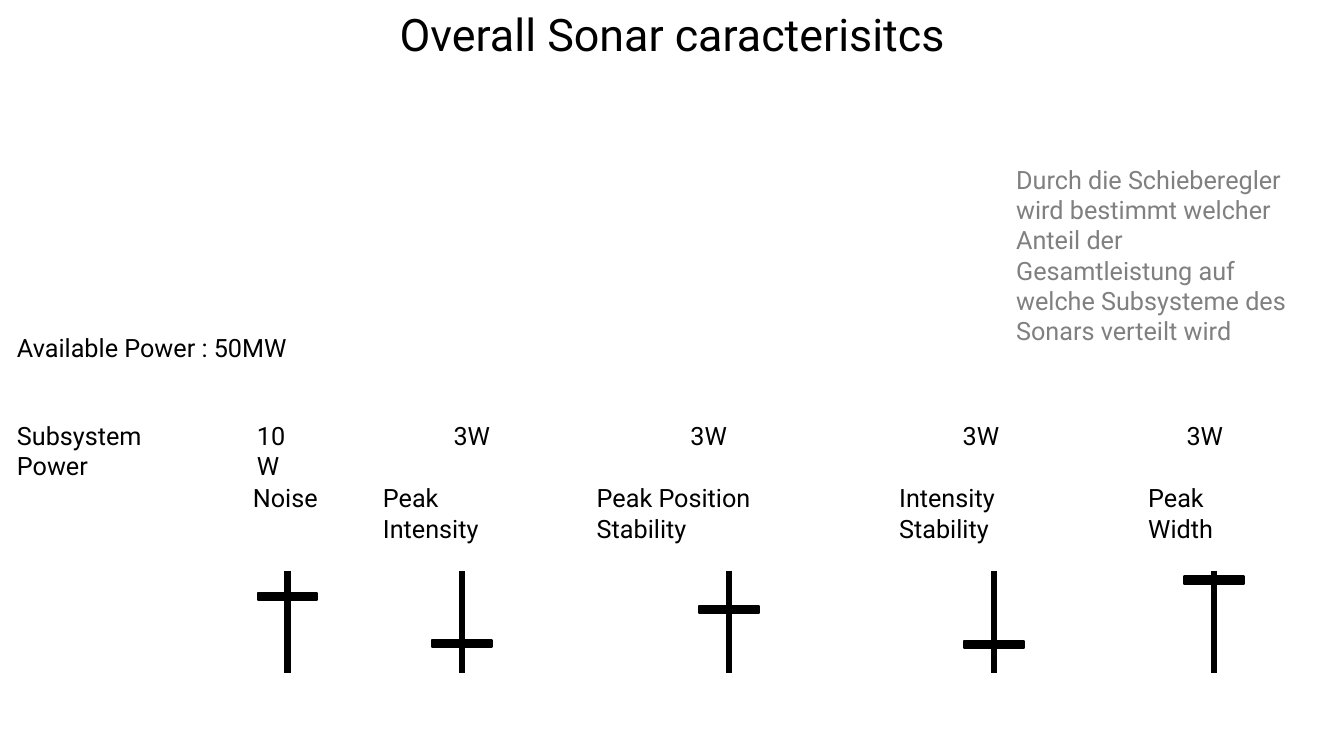
from pptx import Presentation
from pptx.dml.color import RGBColor
from pptx.enum.shapes import MSO_CONNECTOR as Connector, MSO_SHAPE as Shape
from pptx.enum.text import MSO_ANCHOR as Anchor, MSO_AUTO_SIZE as AutoSize, PP_ALIGN as Align
from pptx.oxml.ns import qn
from pptx.util import Inches, Pt
from lxml.etree import SubElement

BLACK = RGBColor(0x00, 0x00, 0x00)
GREY = RGBColor(0x80, 0x80, 0x80)

COLUMNS, ROWS = 133.3, 75
POWER_ROW, LABEL_ROW = 41.2, 47.4
RAIL_TOP, RAIL_BOTTOM = 56.6, 66.8
KNOB_WIDTH, KNOB_HEIGHT = 5.9, 0.7
LINE_HEIGHT = 4

SUBSYSTEMS = [
    ("Noise", 24.1, 8.9, "10W", 24.5, 6.7, 28.5, 58.8),
    ("Peak Intensity", 37, 17, "3W", 44, 5.9, 45.8, 63.5),
    ("Peak Position Stability", 58.2, 25.8, "3W", 67.5, 5.9, 72.3, 60.1),
    ("Intensity Stability", 88.2, 20.4, "3W", 94.5, 5.9, 98.6, 63.6),
    ("Peak Width", 112.9, 14, "3W", 116.7, 5.9, 120.4, 57.2),
]


class SonarPanel:
    """Draws titles, texts and sliders on a grid of columns and rows."""

    font_name = "Roboto"
    text_size = Pt(18)
    title_size = Pt(32)

    def __init__(self, deck):
        self.column = deck.slide_width / COLUMNS
        self.row = deck.slide_height / ROWS
        self.slide = deck.slides.add_slide(deck.slide_layouts[5])

    def place(self, left, top, width, height):
        return (round(left * self.column), round(top * self.row),
                round(width * self.column), round(height * self.row))

    def add_wording(self, paragraph, wording, size, color):
        run = paragraph.add_run()
        run.text = wording
        run.font.name = self.font_name
        run.font.size = size
        run.font.color.rgb = color

    def title(self, wording, *area):
        heading = self.slide.shapes.title
        heading.left, heading.top, heading.width, heading.height = self.place(*area)
        frame = heading.text_frame
        frame.auto_size = AutoSize.NONE
        frame.vertical_anchor = Anchor.MIDDLE
        paragraph = frame.paragraphs[0]
        paragraph.alignment = Align.CENTER
        paragraph.line_spacing = 0.9
        self.add_wording(paragraph, wording, self.title_size, BLACK)

    def text(self, wording, left, top, width, height=LINE_HEIGHT, color=BLACK):
        box = self.slide.shapes.add_textbox(*self.place(left, top, width, height))
        frame = box.text_frame
        frame.word_wrap = True
        frame.auto_size = AutoSize.SHAPE_TO_FIT_TEXT
        self.add_wording(frame.paragraphs[0], wording, self.text_size, color)

    def slider(self, center, knob_top):
        x, top, _, length = self.place(center, RAIL_TOP, 0, RAIL_BOTTOM - RAIL_TOP)
        rail = self.slide.shapes.add_connector(Connector.STRAIGHT, x, top, x, top + length)
        rail.line.color.rgb = BLACK
        rail.line.width = Pt(4.5)
        SubElement(rail._element.spPr, qn("a:effectLst"))
        knob = self.slide.shapes.add_shape(Shape.RECTANGLE, *self.place(
            center - KNOB_WIDTH / 2, knob_top, KNOB_WIDTH, KNOB_HEIGHT))
        knob.shadow.inherit = False
        knob.fill.solid()
        knob.fill.fore_color.rgb = BLACK
        knob.line.color.rgb = BLACK
        knob.line.width = Pt(1.5)


def main():
    deck = Presentation()
    deck.slide_width, deck.slide_height = Inches(13.33), Inches(7.5)
    panel = SonarPanel(deck)
    panel.title("Overall Sonar caracterisitcs", 9.2, 0.8, 115, 5.8)
    panel.text("Available Power : 50MW", 0.7, 32.5, 32.5)
    panel.text("Subsystem Power", 0.7, POWER_ROW, 21.3)
    panel.text("Durch die Schieberegler wird bestimmt welcher Anteil der "
               "Gesamtleistung auf welche Subsysteme des Sonars verteilt wird",
               99.8, 15.8, 30.6, 16.2, GREY)
    for label, label_x, label_width, power, power_x, power_width, center, knob_top in SUBSYSTEMS:
        panel.text(label, label_x, LABEL_ROW, label_width)
        panel.text(power, power_x, POWER_ROW, power_width)
        panel.slider(center, knob_top)
    deck.save("out.pptx")


if __name__ == "__main__":
    main()
